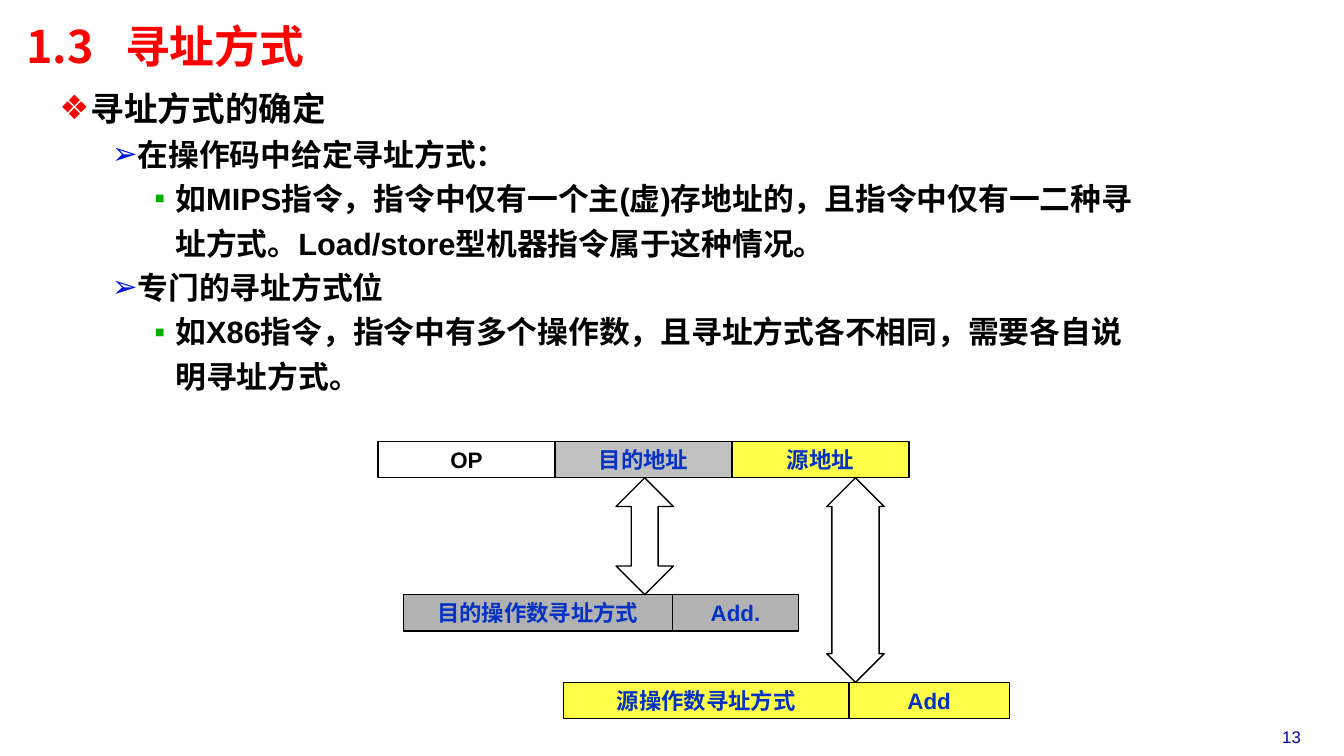
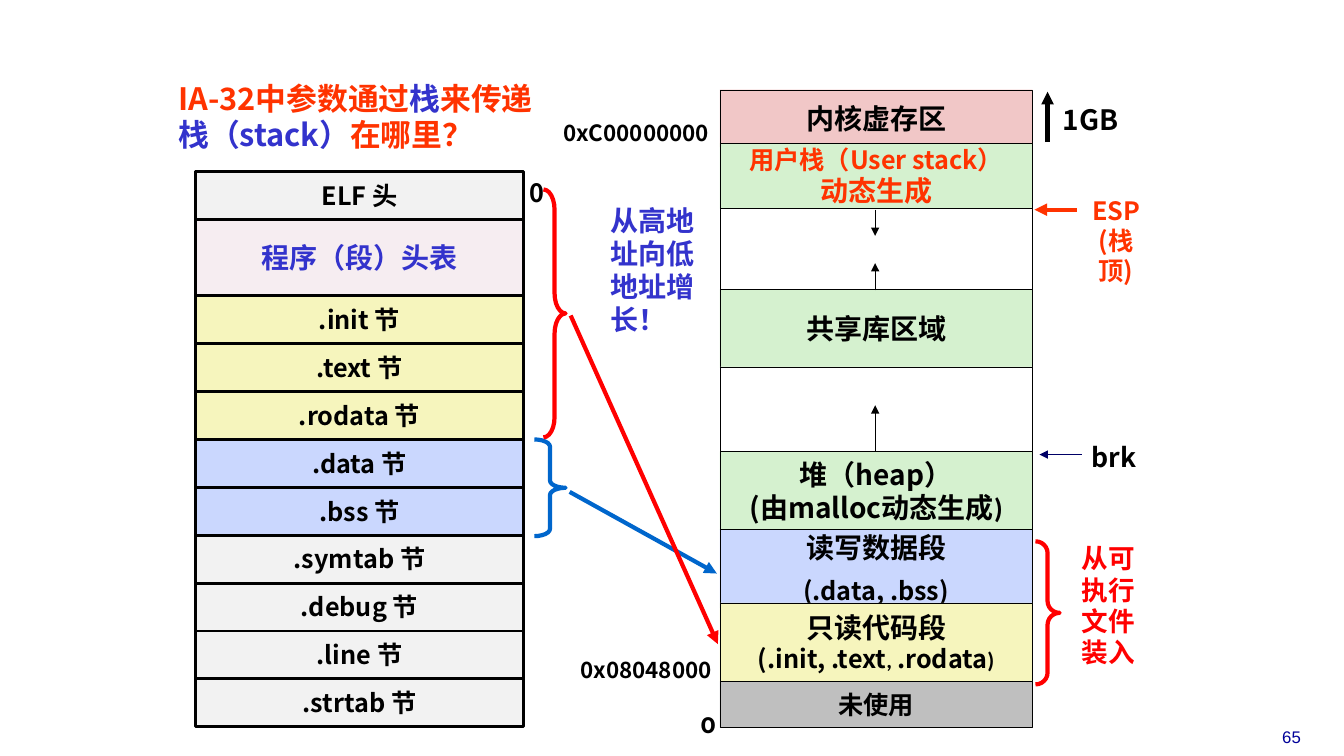
from collections import namedtuple
from itertools import accumulate

from lxml import etree
from pptx import Presentation
from pptx.dml.color import RGBColor
from pptx.enum.shapes import MSO_CONNECTOR, MSO_SHAPE
from pptx.enum.text import MSO_ANCHOR, PP_ALIGN
from pptx.oxml.ns import qn
from pptx.util import Inches, Pt

BLACK = RGBColor(0x00, 0x00, 0x00)
WHITE = RGBColor(0xFF, 0xFF, 0xFF)
RED = RGBColor(0xFF, 0x00, 0x00)
ORANGE = RGBColor(0xFF, 0x33, 0x00)
INDIGO = RGBColor(0x33, 0x33, 0xCC)
FIELD_BLUE = RGBColor(0x05, 0x32, 0xC3)
ARROW_BLUE = RGBColor(0x00, 0x66, 0xCC)
BULLET_BLUE = RGBColor(0x00, 0x1A, 0xDC)
BULLET_GREEN = RGBColor(0x05, 0xAD, 0x01)
NAVY = RGBColor(0x00, 0x00, 0x66)
NUMBER_BLUE = RGBColor(0x00, 0x00, 0x99)
DARK_GREY = RGBColor(0xB2, 0xB2, 0xB2)
MID_GREY = RGBColor(0xC0, 0xC0, 0xC0)
UNUSED_GREY = RGBColor(0xBF, 0xBF, 0xBF)
PALE_GREY = RGBColor(0xF2, 0xF2, 0xF2)
BRIGHT_YELLOW = RGBColor(0xFF, 0xFF, 0x49)
CODE_YELLOW = RGBColor(0xF6, 0xF5, 0xBD)
DATA_BLUE = RGBColor(0xCA, 0xD7, 0xFE)
STACK_GREEN = RGBColor(0xD5, 0xF1, 0xCF)
KERNEL_PINK = RGBColor(0xF1, 0xC7, 0xC7)
HEADER_PINK = RGBColor(0xF6, 0xED, 0xF1)

CJK, ARIAL, CALIBRI = "Noto Sans CJK SC", "Arial", "Calibri"
LEADING = 1.17  # line pitch as a share of the text size
BODY_LEADING = 1.44

Span = namedtuple("Span", "text size color font bold", defaults=(18, BLACK, CJK, True))

# Slide 1: bullets by level are (sign, colour, margin, hanging, size)
LEVELS = [
    ("❖", RED, 0.31, 0.31, 24),
    ("➢", BULLET_BLUE, 0.73, 0.21, 22),
    ("▪", BULLET_GREEN, 1.15, 0.21, 22),
]
OUTLINE = [
    (0, "寻址方式的确定"),
    (1, "在操作码中给定寻址方式："),
    (2, "如MIPS指令，指令中仅有一个主(虚)存地址的，且指令中仅有一二种寻址方式。Load/store型机器指令属于这种情况。"),
    (1, "专门的寻址方式位"),
    (2, "如X86指令，指令中有多个操作数，且寻址方式各不相同，需要各自说明寻址方式。"),
]
FIELD_HEIGHT = 0.36
# Instruction words: left, top, fields of (text, width, fill, colour)
WORDS = [
    (3.75, 4.38, [("OP", 1.755, WHITE, BLACK),
                  ("目的地址", 1.755, MID_GREY, FIELD_BLUE),
                  ("源地址", 1.755, BRIGHT_YELLOW, FIELD_BLUE)]),
    (4.0, 5.9, [("目的操作数寻址方式", 2.67, DARK_GREY, FIELD_BLUE),
                ("Add.", 1.25, DARK_GREY, FIELD_BLUE)]),
    (5.59, 6.77, [("源操作数寻址方式", 2.83, BRIGHT_YELLOW, FIELD_BLUE),
                  ("Add", 1.59, BRIGHT_YELLOW, FIELD_BLUE)]),
]
# Double arrows: left, index of the word reached, head share
WORD_LINKS = [(6.11, 1, 0.469), (8.2, 2, 0.823)]

# Slide 2
ROW = 0.475
SECTIONS = [  # text, height in rows, fill
    ("ELF 头", 1, PALE_GREY), ("程序（段）头表", 1.6, HEADER_PINK),
    (".init 节", 1, CODE_YELLOW), (".text 节", 1, CODE_YELLOW),
    (".rodata 节", 1, CODE_YELLOW), (".data 节", 1, DATA_BLUE),
    (".bss 节", 1, DATA_BLUE), (".symtab 节", 1, PALE_GREY),
    (".debug 节", 1, PALE_GREY), (".line 节", 1, PALE_GREY),
    (".strtab 节", 1, PALE_GREY),
]
MEMORY = [  # top, height, fill, paragraphs, gap between paragraphs
    (0.89, 0.57, KERNEL_PINK, [[Span("内核虚存区", 20)]], 0),
    (1.42, 0.65, STACK_GREEN, [[Span("用户栈（User stack）", 18, ORANGE)],
                               [Span("动态生成", 20, ORANGE, CALIBRI)]], 0),
    (2.07, 0.8, WHITE, [], 0),
    (2.87, 0.78, STACK_GREEN, [[Span("共享库区域", 20)]], 0),
    (3.64, 0.84, WHITE, [], 0),
    (4.48, 0.78, STACK_GREEN, [[Span("堆（heap）", 20)],
                               [Span("(由malloc动态生成", 20),
                                Span(")", 20, BLACK, CALIBRI)]], 0),
    (5.25, 0.78, DATA_BLUE, [[Span("读写数据段", 20)], [Span("(.data, .bss)")]], 8),
    (5.98, 0.78, CODE_YELLOW, [[Span("只读代码段", 20)],
                               [Span("(.init, .text"), Span(", ", 16, BLACK, CALIBRI),
                                Span(".rodata"), Span(")", 16, BLACK, CALIBRI)]], 0),
    (6.76, 0.46, UNUSED_GREY, [[Span("未使用")]], 0),
]
LABELS = [  # left, top, width, height, wraps, centred, paragraphs
    (5.15, 1.72, 0.35, 0.4, False, False, [[Span("0")]]),
    (10.67, 1.9, 0.8, 0.98, True, True,
     [[Span("ESP", 18, ORANGE)], [Span("(栈顶)", 18, ORANGE)]]),
    (10.73, 4.33, 0.65, 0.4, False, False, [[Span("brk", 19)]]),
    (5.49, 1.14, 1.73, 0.36, False, False, [[Span("0xC00000000", 16)]]),
    (5.66, 6.47, 1.58, 0.36, False, False, [[Span("0x08048000", 16)]]),
    (6.85, 7.01, 0.35, 0.37, False, False, [[Span("0", 16, BLACK, "Montserrat")]]),
    (10.63, 5.34, 0.82, 1.36, True, False,
     [[Span("从可执行文件装入", 19, RED, CALIBRI)]]),
    (10.44, 0.98, 0.92, 0.43, True, False, [[Span("1GB", 20)]]),
    (5.96, 1.98, 1.1, 1.43, True, False, [[Span("从高地址向低地址增长！", 20, INDIGO)]]),
    (1.67, 0.75, 4.92, 0.84, True, False,
     [[Span("IA-32中参数通过", 22, ORANGE), Span("栈", 22, INDIGO),
       Span("来传递", 22, ORANGE)],
      [Span("栈（stack）", 22, INDIGO), Span("在哪里？", 22, ORANGE)]]),
]
ARROWS = [  # start, end, colour, width
    ((10.68, 2.08), (10.26, 2.08), ORANGE, 3),
    ((10.39, 1.41), (10.39, 0.91), BLACK, 3),
    ((10.73, 4.51), (10.31, 4.51), NAVY, 0.25),
    ((8.68, 4.47), (8.68, 4.02), BLACK, 0.25),
    ((8.68, 2.88), (8.68, 2.61), BLACK, 0.25),
    ((8.68, 2.08), (8.68, 2.34), BLACK, 0.25),
    ((5.65, 4.88), (7.11, 5.69), ARROW_BLUE, 3),
    ((5.66, 3.13), (7.12, 6.39), RED, 3),
]
BRACES = [  # left, top, width, height, curve, colour
    (10.27, 5.37, 0.24, 1.42, 0.486, RED),
    (5.3, 4.36, 0.31, 0.96, 0.234, ARROW_BLUE),
    (5.39, 1.88, 0.22, 2.46, 0.915, RED),
]


def inches(*lengths):
    return [Inches(length) for length in lengths]


def write(frame, paragraphs, align=PP_ALIGN.LEFT, leading=LEADING, gap=0):
    """Fill a text frame with paragraphs, each a list of spans."""
    for index, spans in enumerate(paragraphs):
        para = frame.add_paragraph() if index else frame.paragraphs[0]
        para.alignment = align
        para.line_spacing = Pt(round(leading * max(span.size for span in spans), 1))
        if index and gap:
            para.space_before = Pt(gap)
        for span in spans:
            run = para.add_run()
            run.text = span.text
            run.font.size = Pt(span.size)
            run.font.bold = span.bold
            run.font.color.rgb = span.color
            run.font.name = span.font
            etree.SubElement(run.font._element, qn("a:ea"), typeface=CJK)


def add_label(page, place, paragraphs, wraps=True, margins=(0.1, 0.05), **style):
    frame = page.shapes.add_textbox(*inches(*place)).text_frame
    frame.word_wrap = wraps
    frame.margin_left = frame.margin_right = Inches(margins[0])
    frame.margin_top = frame.margin_bottom = Inches(margins[1])
    write(frame, paragraphs, **style)
    return frame


def add_outlined(page, kind, place, color, width, fill=None, adjust=()):
    shape = page.shapes.add_shape(kind, *inches(*place))
    shape.shadow.inherit = False
    shape.line.color.rgb = color
    shape.line.width = Pt(width)
    if fill is None:
        shape.fill.background()
    else:
        shape.fill.solid()
        shape.fill.fore_color.rgb = fill
    for index, value in enumerate(adjust):
        shape.adjustments[index] = value
    return shape


def add_cell(page, place, fill, width, paragraphs, gap=0):
    """Draw a bordered rectangle with centred text."""
    frame = add_outlined(page, MSO_SHAPE.RECTANGLE, place, BLACK, width, fill).text_frame
    frame.word_wrap = False
    frame.vertical_anchor = MSO_ANCHOR.MIDDLE
    write(frame, paragraphs, PP_ALIGN.CENTER, gap=gap)


def add_arrow(page, start, end, color, width):
    arrow = page.shapes.add_connector(MSO_CONNECTOR.STRAIGHT, *inches(*start, *end))
    arrow.line.color.rgb = color
    arrow.line.width = Pt(width)
    etree.SubElement(arrow.line._get_or_add_ln(), qn("a:tailEnd"), type="triangle")
    etree.SubElement(arrow._element.spPr, qn("a:effectLst"))


def add_bullet(para, sign, color, margin, hanging):
    props = para._p.get_or_add_pPr()
    props.set("marL", str(Inches(margin)))
    props.set("indent", str(-Inches(hanging)))
    tint = etree.SubElement(props, qn("a:buClr"))
    etree.SubElement(tint, qn("a:srgbClr"), val=str(color))
    etree.SubElement(props, qn("a:buFont"), typeface=ARIAL)
    etree.SubElement(props, qn("a:buChar"), char=sign)


def add_page(deck, number):
    page = deck.slides.add_slide(deck.slide_layouts[6])
    add_label(page, (12.34, 7.17, 0.94, 0.3),
              [[Span(number, 12, NUMBER_BLUE, ARIAL, False)]], align=PP_ALIGN.CENTER)
    return page


def add_title(page, text, tab):
    frame = add_label(page, (0.19, 0.19, 7.67, 0.52), [[Span(text, 32, RED)]],
                      margins=(0.07, 0.03), leading=1.12)
    stops = etree.SubElement(frame.paragraphs[0]._p.get_or_add_pPr(), qn("a:tabLst"))
    etree.SubElement(stops, qn("a:tab"), pos=str(Inches(tab)), algn="l")


def build_addressing(deck):
    page = add_page(deck, "13")
    add_title(page, "1.3\t寻址方式", 0.98)
    body = add_label(page, (0.52, 0.76, 10.8, 3.61),
                     [[Span(text, LEVELS[level][4], BLACK, ARIAL)] for level, text in OUTLINE],
                     margins=(0.07, 0.03), leading=BODY_LEADING)
    for para, (level, _) in zip(body.paragraphs, OUTLINE):
        add_bullet(para, *LEVELS[level][:4])
    for left, top, fields in WORDS:
        for text, width, fill, color in fields:
            add_cell(page, (left, top, width, FIELD_HEIGHT), fill, 1,
                     [[Span(text, 16, color, ARIAL)]])
            left += width
    start = WORDS[0][1] + FIELD_HEIGHT
    for left, target, head in WORD_LINKS:
        add_outlined(page, MSO_SHAPE.UP_DOWN_ARROW,
                     (left, start, 0.57, WORDS[target][1] - start),
                     BLACK, 1, adjust=(0.5, head))


def build_memory_map(deck):
    page = add_page(deck, "65")
    for top, height, fill, paragraphs, gap in MEMORY:
        add_cell(page, (7.14, top, 3.1, height), fill, 0.25, paragraphs, gap)
    tops = accumulate((rows * ROW for _, rows, _ in SECTIONS), initial=1.7)
    for top, (text, rows, fill) in zip(tops, SECTIONS):
        span = Span(text, 20, INDIGO) if rows > 1 else Span(text)
        add_cell(page, (1.94, top, 3.25, rows * ROW), fill, 2, [[span]])
    for *place, wraps, centred, paragraphs in LABELS:
        add_label(page, place, paragraphs, wraps,
                  align=PP_ALIGN.CENTER if centred else PP_ALIGN.LEFT)
    for *place, curve, color in BRACES:
        add_outlined(page, MSO_SHAPE.RIGHT_BRACE, place, color, 3, adjust=(curve, 0.5))
    for arrow in ARROWS:
        add_arrow(page, *arrow)


def main():
    deck = Presentation()
    deck.slide_width, deck.slide_height = inches(13.33, 7.5)
    build_addressing(deck)
    build_memory_map(deck)
    deck.save("out.pptx")


if __name__ == "__main__":
    main()
